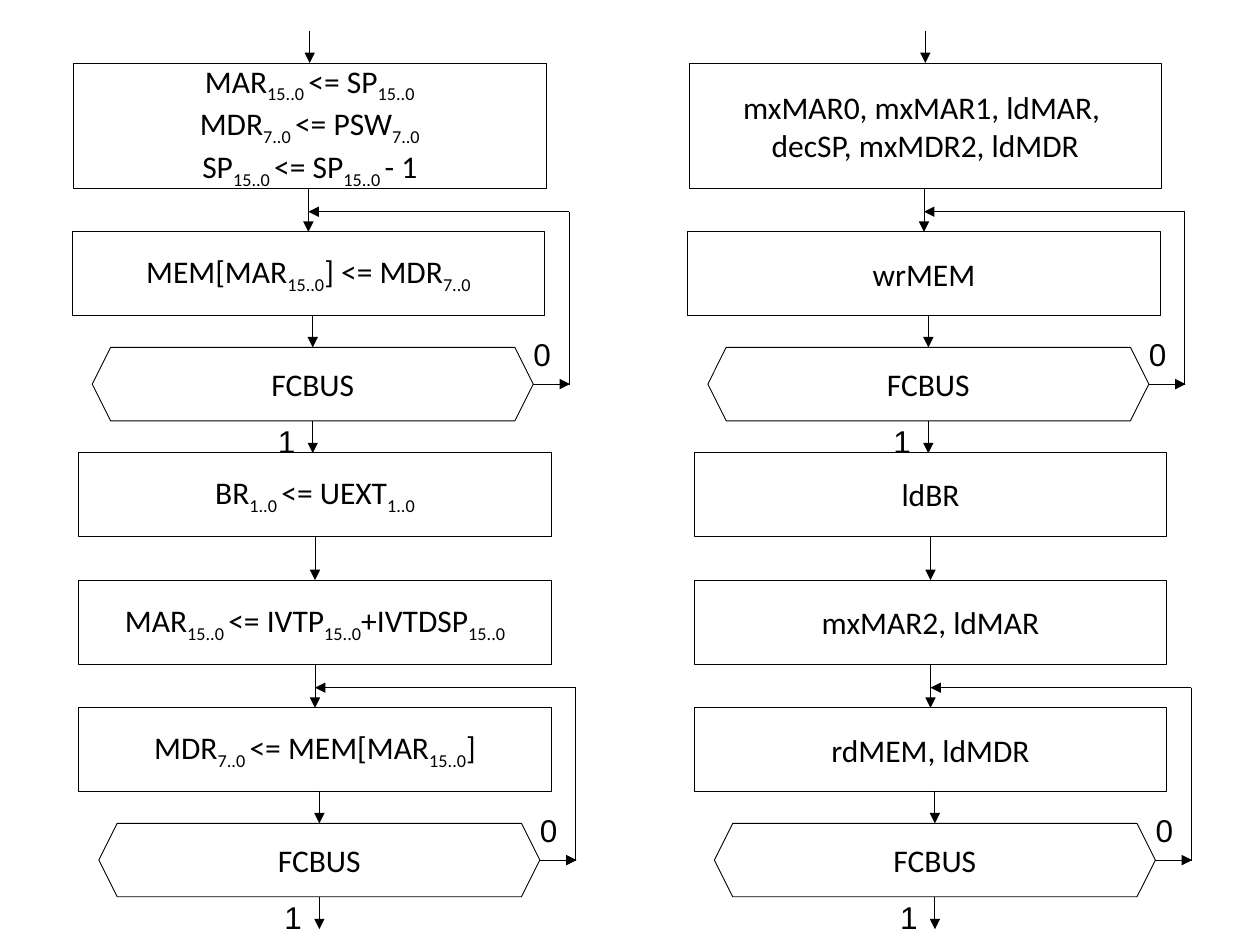
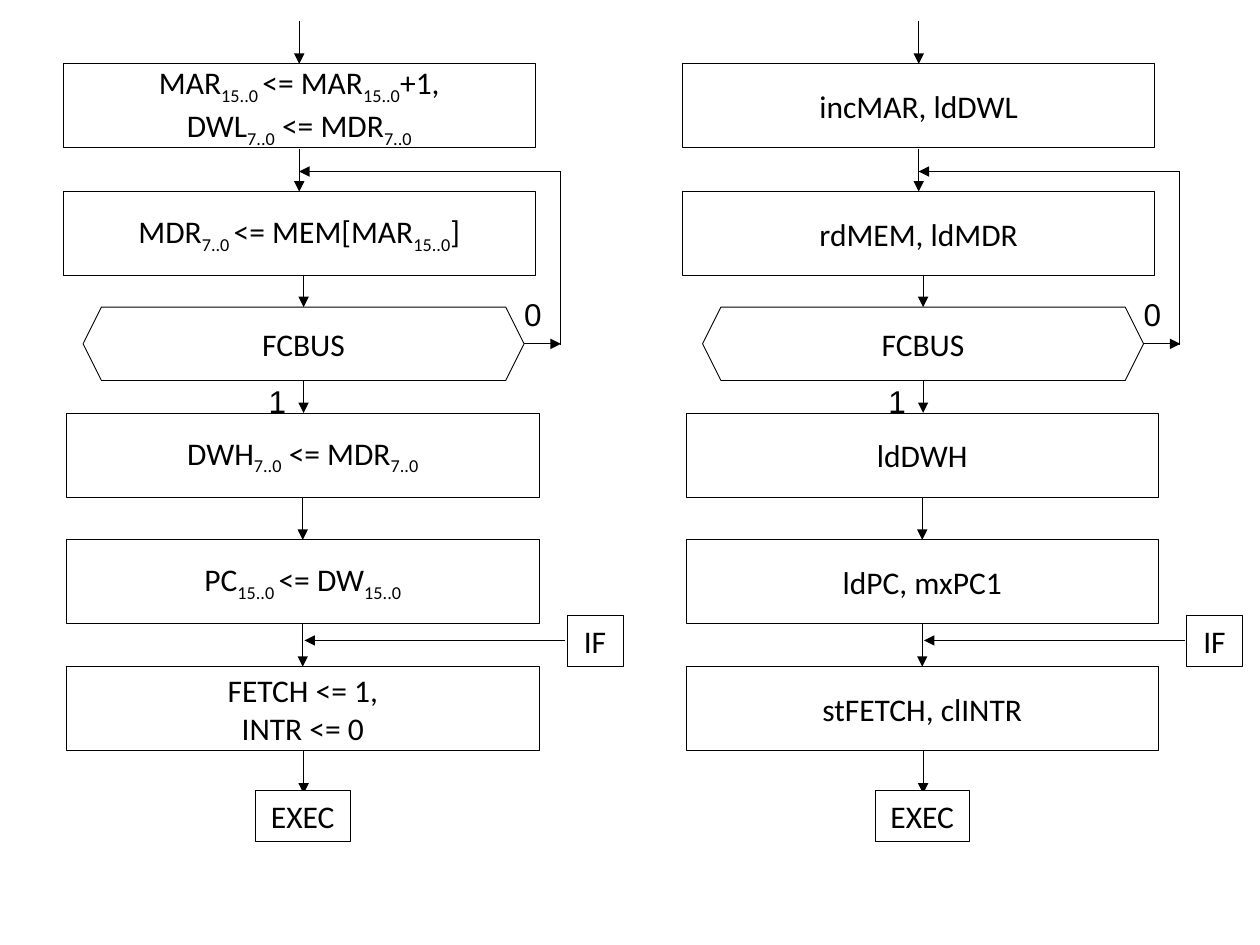
"""Two slides of paired flowcharts: register transfers and their control signals."""
import pptx
import pptx.dml.color
import pptx.enum.shapes
import pptx.enum.text
import pptx.oxml.ns
import pptx.util
from lxml import etree

Pt = pptx.util.Pt
SHAPES = pptx.enum.shapes.MSO_SHAPE
BLACK = pptx.dml.color.RGBColor(0x00, 0x00, 0x00)
WHITE = pptx.dml.color.RGBColor(0xFF, 0xFF, 0xFF)

BOX_WIDTH, BOX_HEIGHT = 270, 48
BOX_CENTER = BOX_WIDTH / 2
TEST_WIDTH, TEST_HEIGHT = 252, 42
ENTRY_LENGTH = 24.5   # arrow leading into a box
SHORT_ARROW = 18.5    # arrow leading into or out of a test
TAG_HEIGHT = 29.5     # small box naming another step
LINE_WIDTH = 0.5
BOX_FONT = {"name": "Calibri", "size": Pt(18)}
LABEL_FONT = {"name": "Arial", "size": Pt(18)}


class Flowchart:
    """Holds the drawing style and the current slide."""

    def __init__(self):
        """Start a presentation of 10 by 7.5 inches."""
        self.presentation = pptx.Presentation()
        self.presentation.slide_width = Pt(720)
        self.presentation.slide_height = Pt(540)
        self.slide = None

    def new_slide(self):
        """Add a blank slide and make it current."""
        self.slide = self.presentation.slides.add_slide(
            self.presentation.slide_layouts[6])

    def add_text(self, paragraph, text, font_values):
        """Add text; parts between tildes are subscripts, \\v breaks the line."""
        for line_number, line in enumerate(text.split("\v")):
            if line_number:
                paragraph.add_line_break()
            for part_number, part in enumerate(line.split("~")):
                if not part:
                    continue
                run = paragraph.add_run()
                run.text = part
                for name, value in font_values.items():
                    setattr(run.font, name, value)
                run.font.color.rgb = BLACK
                if part_number % 2:
                    run._r.get_or_add_rPr().set("baseline", "-25000")

    def box(self, x, y, text, width=BOX_WIDTH, height=BOX_HEIGHT,
            kind=SHAPES.RECTANGLE):
        """Draw a white outlined shape with centred text."""
        shape = self.slide.shapes.add_shape(
            kind, Pt(x), Pt(y), Pt(width), Pt(height))
        shape.shadow.inherit = False
        shape.fill.solid()
        shape.fill.fore_color.rgb = WHITE
        shape.line.color.rgb = BLACK
        shape.line.width = Pt(LINE_WIDTH)
        frame = shape.text_frame
        frame.vertical_anchor = pptx.enum.text.MSO_ANCHOR.MIDDLE
        for number, content in enumerate(text.split("\n")):
            paragraph = frame.add_paragraph() if number else frame.paragraphs[0]
            paragraph.alignment = pptx.enum.text.PP_ALIGN.CENTER
            self.add_text(paragraph, content, BOX_FONT)

    def label(self, x, y, text):
        """Put a branch value beside an arrow."""
        shape = self.slide.shapes.add_textbox(Pt(x), Pt(y), Pt(24.5), Pt(29))
        frame = shape.text_frame
        frame.word_wrap = False
        frame.auto_size = pptx.enum.text.MSO_AUTO_SIZE.SHAPE_TO_FIT_TEXT
        self.add_text(frame.paragraphs[0], text, LABEL_FONT)

    def line(self, x1, y1, x2, y2, arrow=True):
        """Draw a straight line, normally with an arrowhead at its end."""
        connector = self.slide.shapes.add_connector(
            pptx.enum.shapes.MSO_CONNECTOR.STRAIGHT,
            Pt(x1), Pt(y1), Pt(x2), Pt(y2))
        connector.line.color.rgb = BLACK
        connector.line.width = Pt(LINE_WIDTH)
        if arrow:
            tail = etree.SubElement(connector.line._get_or_add_ln(),
                                    pptx.oxml.ns.qn("a:tailEnd"))
            tail.set("type", "triangle")
        etree.SubElement(connector._element.spPr, pptx.oxml.ns.qn("a:effectLst"))

    def down(self, x, y, length):
        """Draw an arrow of the given length downwards."""
        self.line(x, y, x, y + length)

    def step(self, x, y, text, height=BOX_HEIGHT, entry=ENTRY_LENGTH):
        """Draw a box with the arrow that leads into it."""
        self.box(x, y, text, height=height)
        self.down(x + BOX_CENTER, y - entry, entry)

    def wait_loop(self, x, y, text):
        """Draw a step repeated until the bus test below it gives 1."""
        self.step(x, y, text)
        left, top = x + 11.5, y + 66
        center, right = left + TEST_WIDTH / 2, left + TEST_WIDTH
        middle, bottom = top + TEST_HEIGHT / 2, top + TEST_HEIGHT
        self.box(left, top, "FCBUS", TEST_WIDTH, TEST_HEIGHT, SHAPES.HEXAGON)
        self.line(right, middle, right + 21, middle)
        self.down(center, bottom, SHORT_ARROW)
        self.label(right - 7, top - 10.5, "0")
        self.label(center - 27, bottom - 3, "1")
        self.down(center, top - SHORT_ARROW, SHORT_ARROW)
        back = y - 11.5
        self.line(right + 20.5, back, right + 20.5, middle + 0.5, arrow=False)
        self.line(right + 20.5, back, x + BOX_CENTER, back)

    def finish(self, x, y, text):
        """Draw the last step, where IF joins and EXEC follows."""
        self.step(x, y, text)
        self.down(x + BOX_CENTER + 0.5, y + BOX_HEIGHT, ENTRY_LENGTH)
        self.box(x + 108, y + 70.5, "EXEC", 54, TAG_HEIGHT)
        self.box(x + 286, y - TAG_HEIGHT, "IF", 32, TAG_HEIGHT)
        self.line(x + 285, y - 15, x + BOX_CENTER + 1, y - 15)


def interrupt_entry(chart, x, texts):
    """Draw one column of the first slide."""
    save, store, number, vector, read_vector = texts
    chart.step(x + 0.75, 36, save, height=72, entry=SHORT_ARROW)
    chart.wait_loop(x, 132.5, store)
    chart.box(x + 3.75, 258.5, number)
    chart.step(x + 3.75, 331.5, vector)
    chart.wait_loop(x + 3.75, 404.5, read_vector)


def interrupt_exit(chart, x, texts):
    """Draw one column of the second slide."""
    advance, read_byte, high_byte, jump, last = texts
    chart.step(x, 36.5, advance)
    chart.wait_loop(x, 109.5, read_byte)
    chart.box(x + 2, 236, high_byte)
    chart.step(x + 2, 308.5, jump)
    chart.finish(x + 2, 381, last)


READ_MEMORY = "MDR~7..0 ~<= MEM[MAR~15..0~]"
READ_SIGNALS = "rdMEM, ldMDR"
SLIDES = [
    (interrupt_entry, [
        (41.25, ["MAR~15..0 ~<= SP~15..0~\nMDR~7..0 ~<= PSW~7..0~\n"
                 "SP~15..0 ~<= SP~15..0 ~- 1",
                 "MEM[MAR~15..0~] <= MDR~7..0~",
                 "BR~1..0 ~<= UEXT~1..0~",
                 "MAR~15..0 ~<= IVTP~15..0~+IVTDSP~15..0~",
                 READ_MEMORY]),
        (393, ["mxMAR0, mxMAR1, ldMAR, \ndecSP, mxMDR2, ldMDR",
               "wrMEM", "ldBR", "mxMAR2, ldMAR", READ_SIGNALS]),
    ]),
    (interrupt_exit, [
        (36, ["MAR~15..0 ~<= MAR~15..0~+1,\nDWL~7..0~ <= MDR~7..0~",
              READ_MEMORY,
              "DWH~7..0~ <= MDR~7..0~",
              "PC~15..0 ~<= DW~15..0~",
              "FETCH <= 1,\vINTR <= 0"]),
        (390, ["incMAR, ldDWL", READ_SIGNALS, "ldDWH", "ldPC, mxPC1",
               "stFETCH, clINTR"]),
    ]),
]


def main():
    """Build both slides and save them."""
    chart = Flowchart()
    for draw_column, columns in SLIDES:
        chart.new_slide()
        for x, texts in columns:
            draw_column(chart, x, texts)
    chart.presentation.save("out.pptx")


main()
